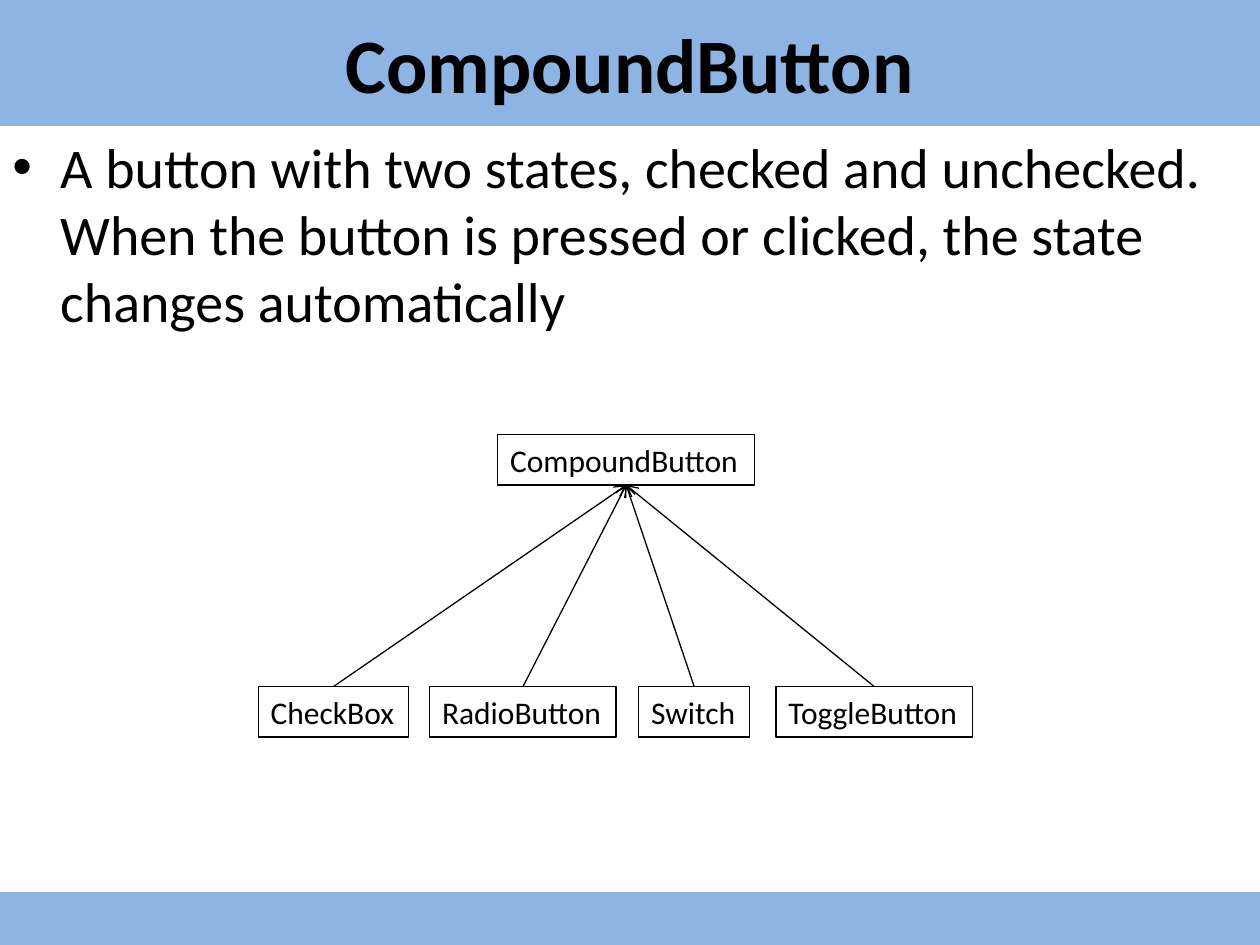
from lxml import etree
from pptx import Presentation
from pptx.dml.color import RGBColor
from pptx.enum.shapes import MSO_CONNECTOR as CONNECTOR, MSO_SHAPE as SHAPE
from pptx.enum.text import MSO_ANCHOR as ANCHOR, MSO_AUTO_SIZE as AUTO_SIZE, PP_ALIGN as ALIGN
from pptx.oxml.ns import qn
from pptx.util import Inches, Pt

COLORS = {"band": "8EB4E3", "ink": "000000"}
FONT = "Calibri"

prs = Presentation()
prs.slide_width, prs.slide_height = Inches(10), Inches(7.5)
slide = prs.slides.add_slide(prs.slide_layouts[6])


def write(shape, text, size=18, bold=False, align=ALIGN.LEFT, anchor=ANCHOR.TOP,
          wrap=True, bullet_indent=None):
    frame = shape.text_frame
    frame.word_wrap = wrap
    frame.vertical_anchor = anchor
    frame.auto_size = AUTO_SIZE.NONE if wrap else AUTO_SIZE.SHAPE_TO_FIT_TEXT
    paragraph = frame.paragraphs[0]
    paragraph.text = text
    paragraph.alignment = align
    if bullet_indent:
        props = paragraph._p.get_or_add_pPr()
        props.set("marL", str(bullet_indent))
        props.set("indent", str(-bullet_indent))
        etree.SubElement(props, qn("a:buFont")).set("typeface", "Arial")
        etree.SubElement(props, qn("a:buChar")).set("char", "•")
    font = paragraph.runs[0].font
    font.name, font.size, font.bold = FONT, Pt(size), bold
    font.color.rgb = RGBColor.from_string(COLORS["ink"])


def add_box(left, top, width, height, fill=None, line=None):
    box = slide.shapes.add_shape(SHAPE.RECTANGLE, Inches(left), Inches(top),
                                 Inches(width), Inches(height))
    box.shadow.inherit = False
    if fill:
        box.fill.solid()
        box.fill.fore_color.rgb = RGBColor.from_string(fill)
    else:
        box.fill.background()
    if line:
        box.line.color.rgb = RGBColor.from_string(line)
        box.line.width = Pt(0.75)
    else:
        box.line.fill.background()
    return box


# Title band and footer band
title = add_box(0, 0, 10, 1, fill=COLORS["band"])
write(title, "CompoundButton", size=44, bold=True, align=ALIGN.CENTER, anchor=ANCHOR.MIDDLE)
add_box(0, 7.08, 10, 0.42, fill=COLORS["band"])

# Definition
definition = slide.shapes.add_textbox(0, Inches(1), Inches(10), Inches(1.75))
write(definition, "A button with two states, checked and unchecked. When the button is "
      "pressed or clicked, the state changes automatically",
      size=32, bullet_indent=Inches(0.38))

# Class hierarchy: parent on top, subclasses in a row below
parent = add_box(3.95, 3.45, 2.04, 0.4, line=COLORS["ink"])
write(parent, "CompoundButton", wrap=False)

subclasses = []
for name, left, width in [("CheckBox", 2.05, 1.19), ("RadioButton", 3.41, 1.48),
                          ("Switch", 5.07, 0.88), ("ToggleButton", 6.16, 1.56)]:
    subclass = add_box(left, 5.45, width, 0.4, line=COLORS["ink"])
    write(subclass, name, wrap=False)
    subclasses.append(subclass)

# Inheritance arrows from each subclass top to the parent bottom
for subclass in subclasses:
    arrow = slide.shapes.add_connector(CONNECTOR.STRAIGHT, 0, 0, 0, 0)
    arrow.begin_connect(subclass, 0)
    arrow.end_connect(parent, 2)
    arrow.line.color.rgb = RGBColor.from_string(COLORS["ink"])
    arrow.line.width = Pt(0.75)
    etree.SubElement(arrow.line._get_or_add_ln(), qn("a:tailEnd")).set("type", "arrow")
    etree.SubElement(arrow._element.spPr, qn("a:effectLst"))

prs.save("out.pptx")
